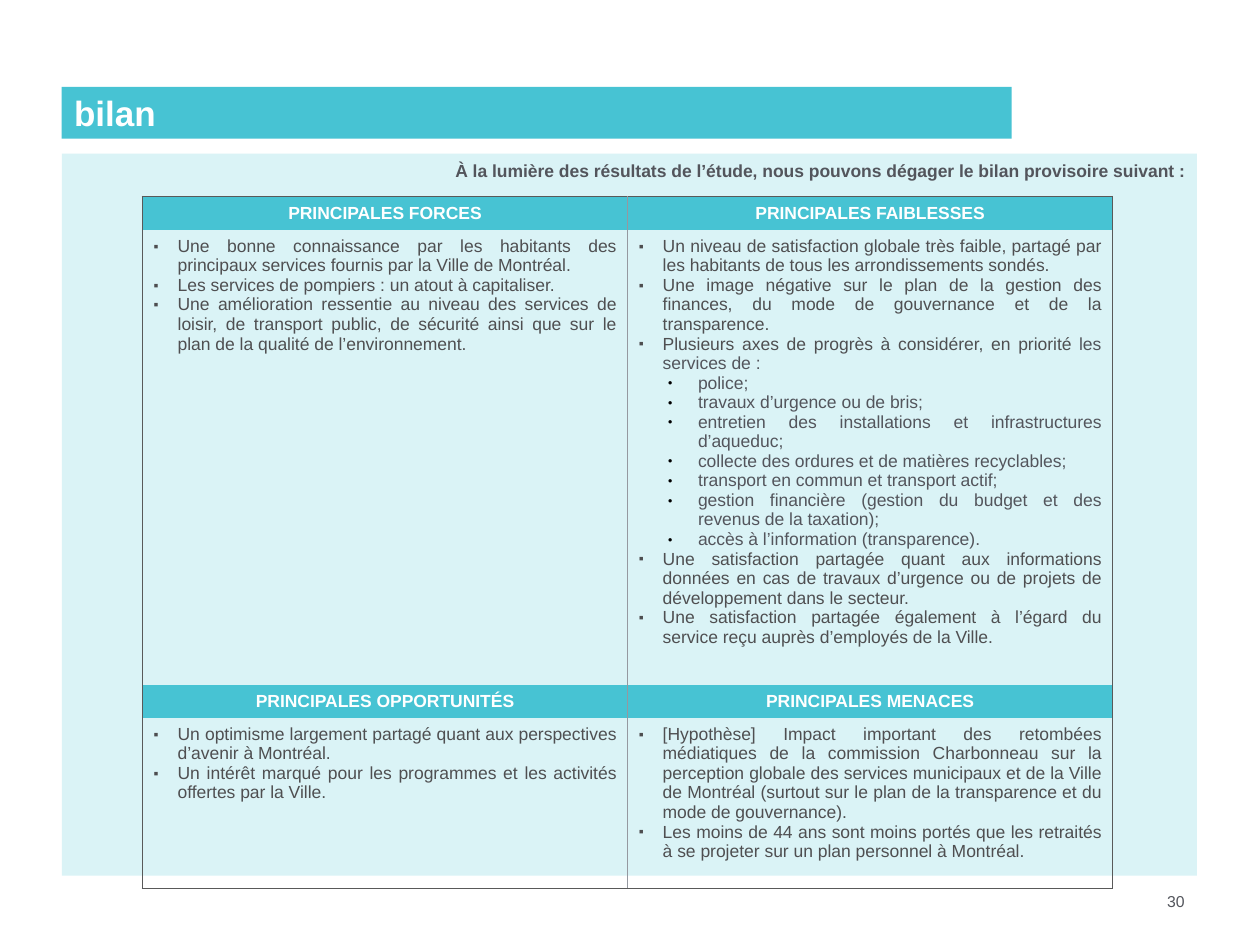
from dataclasses import dataclass

from lxml import etree
from pptx import Presentation
from pptx import util as u
from pptx.dml.color import RGBColor
from pptx.enum import shapes, text
from pptx.oxml import ns


@dataclass(frozen=True)
class Theme:
    font: str = "Arial"
    teal: str = "47C3D3"
    pale: str = "DAF3F6"
    white: str = "FFFFFF"
    slate: str = "53555C"
    charcoal: str = "4F4F51"
    frame: str = "595959"
    divider: str = "9598A0"
    border: float = 0.96
    title_size: int = 20
    body_size: int = 10
    number_size: int = 9


THEME = Theme()
ALIGN = text.PP_ALIGN
ANCHOR = text.MSO_ANCHOR


@dataclass(frozen=True)
class Bullet:
    symbol: str
    color: str
    percent: int
    indent: float
    hanging: float


BULLETS = (
    Bullet("▪", "4D4D4F", 80, 0.19, 0.19),
    Bullet("●", "000000", 45, 0.47, 0.24),
)

STRENGTHS = [
    "Une bonne connaissance par les habitants des principaux services fournis par la Ville de Montréal.",
    "Les services de pompiers : un atout à capitaliser.",
    "Une amélioration ressentie au niveau des services de loisir, de transport public, de sécurité "
    "ainsi que sur le plan de la qualité de l’environnement.",
]
PRIORITIES = [
    "police;",
    "travaux d’urgence ou de bris;",
    "entretien des installations et infrastructures d’aqueduc;",
    "collecte des ordures et de matières recyclables;",
    "transport en commun et transport actif;",
    "gestion financière (gestion du budget et des revenus de la taxation);",
    "accès à l’information (transparence).",
]
# A nested list holds the second-level points; a tuple adds a slate ending.
WEAKNESSES = [
    "Un niveau de satisfaction globale très faible, partagé par les habitants de tous les "
    "arrondissements sondés.",
    "Une image négative sur le plan de la gestion des finances, du mode de gouvernance et de la "
    "transparence.",
    ("Plusieurs axes de progrès à considérer, en priorité ", "les services de :"),
    PRIORITIES,
    "Une satisfaction partagée quant aux informations données en cas de travaux d’urgence ou de "
    "projets de développement dans le secteur.",
    "Une satisfaction partagée également à l’égard du service reçu auprès d’employés de la Ville.",
]
OPPORTUNITIES = [
    "Un optimisme largement partagé quant aux perspectives d’avenir à Montréal.",
    "Un intérêt marqué pour les programmes et les activités offertes par la Ville.",
]
THREATS = [
    "[Hypothèse] Impact important des retombées médiatiques de la commission Charbonneau sur la "
    "perception globale des services municipaux et de la Ville de Montréal (surtout sur le plan de "
    "la transparence et du mode de gouvernance).",
    "Les moins de 44 ans sont moins portés que les retraités à se projeter sur un plan personnel "
    "à Montréal.",
]
ROWS = [
    ("PRINCIPALES FORCES", "PRINCIPALES FAIBLESSES"),
    (STRENGTHS, WEAKNESSES),
    ("PRINCIPALES OPPORTUNITÉS", "PRINCIPALES MENACES"),
    (OPPORTUNITIES, THREATS),
]


def add_element(parent, tag, **attributes):
    element = etree.SubElement(parent, ns.qn(tag))
    for name, value in attributes.items():
        element.set(name, str(value))
    return element


def set_bullet(paragraph, bullet):
    properties = paragraph._p.get_or_add_pPr()
    properties.set("marL", str(u.Inches(bullet.indent)))
    properties.set("indent", str(-u.Inches(bullet.hanging)))
    add_element(add_element(properties, "a:buClr"), "a:srgbClr", val=bullet.color)
    add_element(properties, "a:buSzPct", val=bullet.percent * 1000)
    add_element(properties, "a:buFont", typeface=THEME.font)
    add_element(properties, "a:buChar", char=bullet.symbol)


def write(paragraph, content, color=THEME.charcoal, size=THEME.body_size, bold=False,
          align=ALIGN.LEFT, level=None):
    """Add a run to the paragraph; a level gives it that level's bullet."""
    if level is not None and not paragraph.runs:
        paragraph.level = level
        set_bullet(paragraph, BULLETS[level])
    paragraph.alignment = align
    run = paragraph.add_run()
    run.text = content
    run.font.name = THEME.font
    run.font.size = u.Pt(size)
    run.font.bold = bold
    run.font.color.rgb = RGBColor.from_string(color)


def set_border(cell, side, color=None):
    line = add_element(cell._tc.get_or_add_tcPr(), f"a:ln{side}", w=u.Pt(THEME.border))
    if color is None:
        add_element(line, "a:noFill")
    else:
        add_element(add_element(line, "a:solidFill"), "a:srgbClr", val=color)


class SlideBuilder:
    def __init__(self, presentation, theme):
        self.theme = theme
        self.slide = presentation.slides.add_slide(presentation.slide_layouts[6])

    def box(self, content, left, top, width, height, fill=None, anchor=ANCHOR.MIDDLE, **style):
        area = [u.Inches(length) for length in (left, top, width, height)]
        if fill is None:
            shape = self.slide.shapes.add_textbox(*area)
        else:
            shape = self.slide.shapes.add_shape(shapes.MSO_SHAPE.RECTANGLE, *area)
            shape.shadow.inherit = False
            shape.fill.solid()
            shape.fill.fore_color.rgb = RGBColor.from_string(fill)
            shape.line.fill.background()
        frame = shape.text_frame
        frame.word_wrap = True
        frame.vertical_anchor = anchor
        write(frame.paragraphs[0], content, **style)

    def heading_cell(self, cell, content):
        cell.vertical_anchor = ANCHOR.MIDDLE
        cell.fill.solid()
        cell.fill.fore_color.rgb = RGBColor.from_string(self.theme.teal)
        write(cell.text_frame.paragraphs[0], content, color=self.theme.white, bold=True,
              align=ALIGN.CENTER)

    def list_cell(self, cell, items):
        cell.fill.background()
        frame = cell.text_frame
        points = []
        for item in items:
            if isinstance(item, list):
                points += [(1, [(point, self.theme.slate)]) for point in item]
            else:
                parts = item if isinstance(item, tuple) else (item,)
                points.append((0, list(zip(parts, (self.theme.charcoal, self.theme.slate)))))
        for index, (level, parts) in enumerate(points):
            paragraph = frame.add_paragraph() if index else frame.paragraphs[0]
            for content, color in parts:
                write(paragraph, content, color=color, align=ALIGN.JUSTIFY, level=level)

    def swot_table(self, rows, left, top, column_width, heights):
        columns = len(rows[0])
        table = self.slide.shapes.add_table(
            len(rows), columns, u.Inches(left), u.Inches(top),
            u.Inches(column_width * columns), u.Inches(sum(heights))).table
        table.first_row = table.horz_banding = False
        for column in table.columns:
            column.width = u.Inches(column_width)
        frame, divider = self.theme.frame, self.theme.divider
        for r, contents in enumerate(rows):
            table.rows[r].height = u.Inches(heights[r])
            for c, content in enumerate(contents):
                cell = table.cell(r, c)
                cell.margin_left = cell.margin_right = u.Inches(0.09)
                cell.margin_top = cell.margin_bottom = u.Inches(0.05)
                set_border(cell, "L", divider if c else frame)
                set_border(cell, "R", frame if c == columns - 1 else divider)
                set_border(cell, "T", None if r else frame)
                set_border(cell, "B", frame if r == len(rows) - 1 else None)
                fill_cell = self.heading_cell if isinstance(content, str) else self.list_cell
                fill_cell(cell, content)


def main():
    presentation = Presentation()
    presentation.slide_width, presentation.slide_height = u.Inches(10), u.Inches(7.5)
    builder = SlideBuilder(presentation, THEME)
    builder.box("30", 7.17, 6.95, 2.33, 0.4, color=THEME.slate, size=THEME.number_size,
                align=ALIGN.RIGHT)
    builder.box("bilan", 0.49, 0.69, 7.54, 0.41, fill=THEME.teal, color=THEME.white,
                size=THEME.title_size, bold=True)
    builder.box("À la lumière des résultats de l’étude, nous pouvons dégager le bilan provisoire suivant :",
                0.49, 1.22, 9.01, 5.73, fill=THEME.pale, anchor=ANCHOR.TOP, color=THEME.slate,
                bold=True, align=ALIGN.RIGHT)
    builder.swot_table(ROWS, 1.13, 1.56, 3.85, (0.26, 3.55, 0.26, 1.35))
    presentation.save("out.pptx")


if __name__ == "__main__":
    main()
